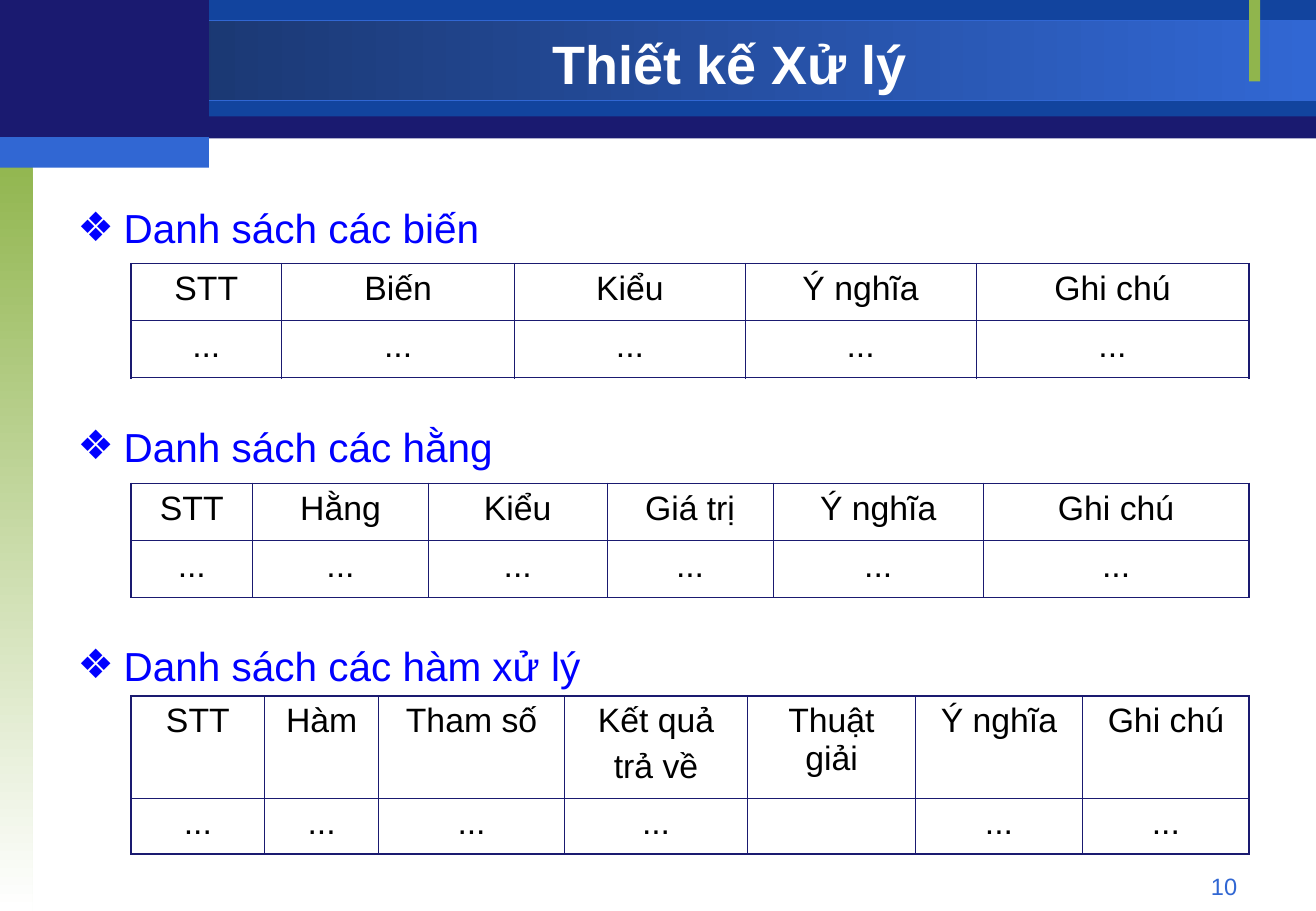
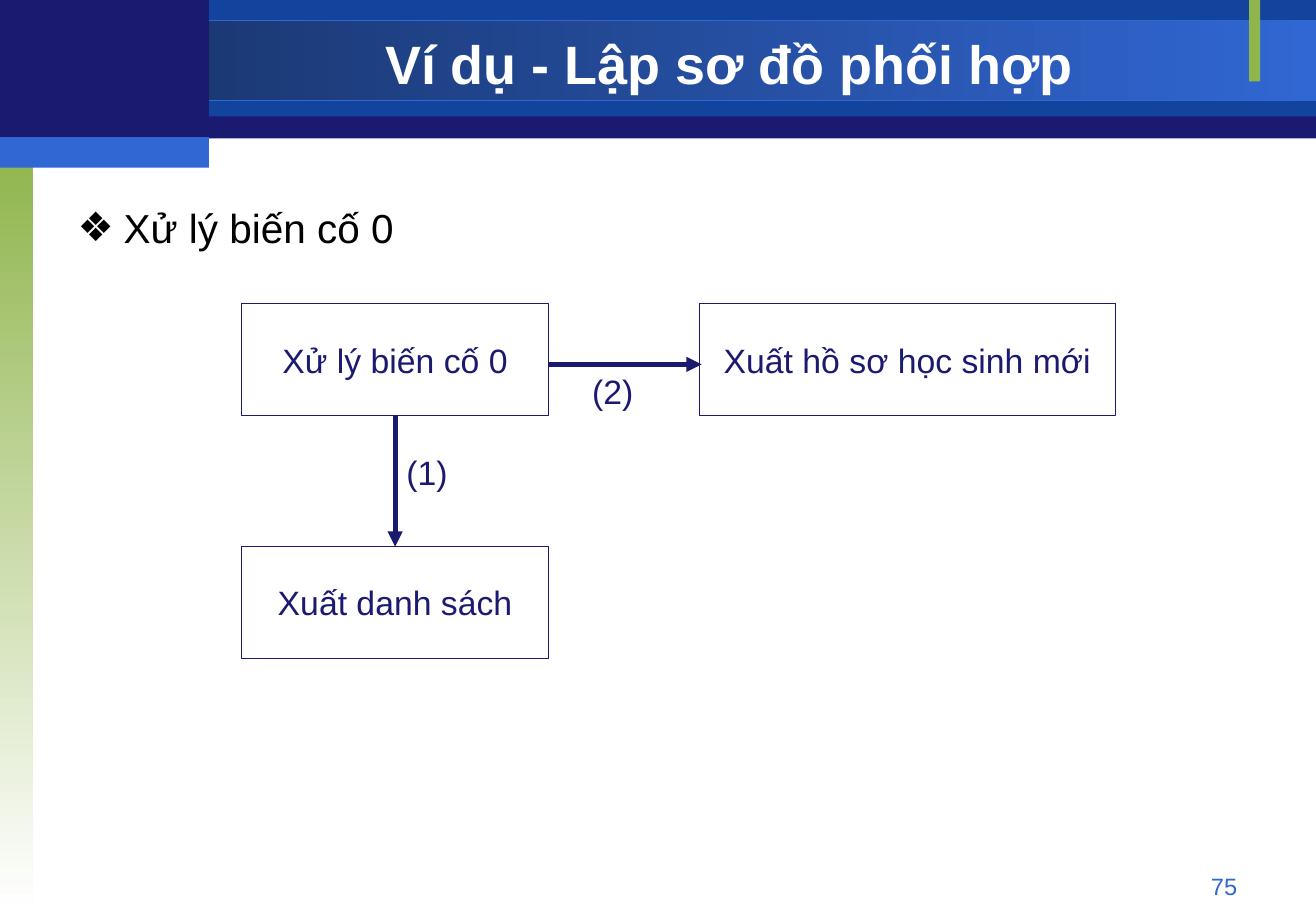
from lxml import etree
from pptx import Presentation
from pptx.dml.color import RGBColor
from pptx.enum.shapes import MSO_CONNECTOR as Connector, MSO_SHAPE as Shape
from pptx.enum.text import MSO_ANCHOR as Anchor, PP_ALIGN as Align
from pptx.oxml import parse_xml
from pptx.oxml.ns import nsdecls, qn
from pptx.util import Pt

PX = 9144
NAVY, BLUE, SKY, GREEN = "1A1A70", "12449E", "3167D3", "90B54D"
BLACK, WHITE, LINK_BLUE = "000000", "FFFFFF", "0000FF"
rgb = RGBColor.from_string


def write(frame, text, size, color, align=Align.LEFT, bold=False, gap=0):
    frame.text = text
    for index, paragraph in enumerate(frame.paragraphs):
        paragraph.alignment = align
        if index:
            paragraph.space_before = Pt(gap)
        for run in paragraph.runs:
            run.font.name = "Arial"
            run.font.size = Pt(size)
            run.font.bold = bold
            run.font.color.rgb = rgb(color)


def add_text(slide, box, text, size, color, **style):
    shape = slide.shapes.add_textbox(*[value * PX for value in box])
    shape.text_frame.word_wrap = True
    write(shape.text_frame, text, size, color, **style)
    return shape.text_frame


presentation = Presentation()
presentation.slide_width = 1084 * PX
presentation.slide_height = 750 * PX

bands = [
    ((0, 1, 1084, 113), [NAVY], 0, None),
    ((172, 0, 912, 96), [BLUE], 0, None),
    ((0, 17, 1084, 66), ["173062", SKY], 0, SKY),
    ((0, 125, 27, 625), [GREEN, WHITE], 270, None),
    ((1029, 0, 9, 67), [GREEN], 0, None),
    ((0, 0, 172, 117), [NAVY], 0, None),
    ((0, 113, 172, 25), [SKY], 0, None),
]
pages = [
    ("Thiết kế Xử lý", "10", LINK_BLUE,
     ["Danh sách các biến", "Danh sách các hằng", "Danh sách các hàm xử lý"]),
    ("Ví dụ - Lập sơ đồ phối hợp", "75", BLACK, ["Xử lý biến cố 0"]),
]

for title, number, color, headings in pages:
    slide = presentation.slides.add_slide(presentation.slide_layouts[6])
    for box, colors, angle, outline in bands:
        band = slide.shapes.add_shape(Shape.RECTANGLE, *[value * PX for value in box])
        band.shadow.inherit = False
        if len(colors) == 1:
            band.fill.solid()
            band.fill.fore_color.rgb = rgb(colors[0])
        else:
            band.fill.gradient()
            band.fill.gradient_angle = angle
            for stop, stop_color in zip(band.fill.gradient_stops, colors):
                stop.color.rgb = rgb(stop_color)
        if outline:
            band.line.color.rgb = rgb(outline)
            band.line.width = Pt(0.75)
        else:
            band.line.fill.background()

    add_text(slide, (776, 713, 253, 27), number, 14, SKY, align=Align.RIGHT)
    title_frame = add_text(slide, (172, 23, 858, 58), title, 32, WHITE,
                           align=Align.CENTER, bold=True)
    title_frame.vertical_anchor = Anchor.MIDDLE
    body = add_text(slide, (54, 162, 975, 538), "\n".join(headings), 24, color,
                    align=Align.JUSTIFY, gap=101)
    for paragraph in body.paragraphs:
        properties = paragraph._p.get_or_add_pPr()
        properties.set("marL", str(38 * PX))
        properties.set("indent", str(-38 * PX))
        bullet_color = etree.SubElement(properties, qn("a:buClr"))
        etree.SubElement(bullet_color, qn("a:srgbClr"), val=color)
        etree.SubElement(properties, qn("a:buFont"), typeface="Arial")
        etree.SubElement(properties, qn("a:buChar"), char="❖")

list_slide, diagram_slide = presentation.slides

tables = [
    (217, (47, 47), [("STT", 124), ("Biến", 192), ("Kiểu", 190), ("Ý nghĩa", 190),
                     ("Ghi chú", 225)]),
    (398, (47, 47), [("STT", 100), ("Hằng", 145), ("Kiểu", 147), ("Giá trị", 137),
                     ("Ý nghĩa", 173), ("Ghi chú", 219)]),
    (573, (84, 46), [("STT", 110), ("Hàm", 94), ("Tham số", 153), ("Kết quả\ntrả về", 151),
                     ("Thuật giải", 138), ("Ý nghĩa", 138), ("Ghi chú", 137)]),
]
for top, heights, columns in tables:
    frame = list_slide.shapes.add_table(2, len(columns), 108 * PX, top * PX,
                                        921 * PX, sum(heights) * PX)
    table = frame.table
    table.first_row = table.horz_banding = False
    for row, height in zip(table.rows, heights):
        row.height = height * PX
    for column_index, (heading, width) in enumerate(columns):
        table.columns[column_index].width = width * PX
        for row_index in range(2):
            cell = table.cell(row_index, column_index)
            cell.margin_left = cell.margin_right = 11 * PX
            cell.margin_top = cell.margin_bottom = 5 * PX
            cell.fill.background()
            text = heading
            if row_index == 1:
                text = "" if heading == "Thuật giải" else "..."
            write(cell.text_frame, text, 20, BLACK, align=Align.CENTER, gap=5)
            outer_sides = {
                "lnL": column_index == 0,
                "lnR": column_index == len(columns) - 1,
                "lnT": row_index == 0,
                "lnB": row_index == 1,
            }
            for position, (side, is_outer) in enumerate(outer_sides.items()):
                border = parse_xml(
                    f'<a:{side} {nsdecls("a")} w="{Pt(1.08 if is_outer else 0.45)}">'
                    f'<a:solidFill><a:srgbClr val="{NAVY}"/></a:solidFill></a:{side}>')
                cell._tc.get_or_add_tcPr().insert(position, border)

steps = []
for left, top, width, text in [
    (199, 250, 253, "Xử lý biến cố 0"),
    (576, 250, 343, "Xuất hồ sơ học sinh mới"),
    (199, 450, 253, "Xuất danh sách"),
]:
    step = diagram_slide.shapes.add_shape(Shape.RECTANGLE, left * PX, top * PX,
                                          width * PX, 92 * PX)
    step.shadow.inherit = False
    step.fill.background()
    step.line.color.rgb = rgb(NAVY)
    step.line.width = Pt(0.75)
    step.text_frame.word_wrap = False
    step.text_frame.vertical_anchor = Anchor.MIDDLE
    write(step.text_frame, text, 20, NAVY, align=Align.CENTER)
    steps.append(step)

arrows = [
    diagram_slide.shapes.add_connector(Connector.STRAIGHT, *[value * PX for value in ends])
    for ends in [(452, 300, 578, 300), (325, 342, 325, 450)]
]
arrows[1].begin_connect(steps[0], 2)
arrows[1].end_connect(steps[2], 0)
for arrow in arrows:
    arrow.line.color.rgb = rgb(NAVY)
    arrow.line.width = Pt(3)
    etree.SubElement(arrow.line._get_or_add_ln(), qn("a:tailEnd"), type="triangle")
    etree.SubElement(arrow._element.spPr, qn("a:effectLst"))

for left, top, text in [(325, 367, "(1)"), (478, 300, "(2)")]:
    add_text(diagram_slide, (left, top, 63, 44), text, 20, NAVY)

presentation.save("out.pptx")
